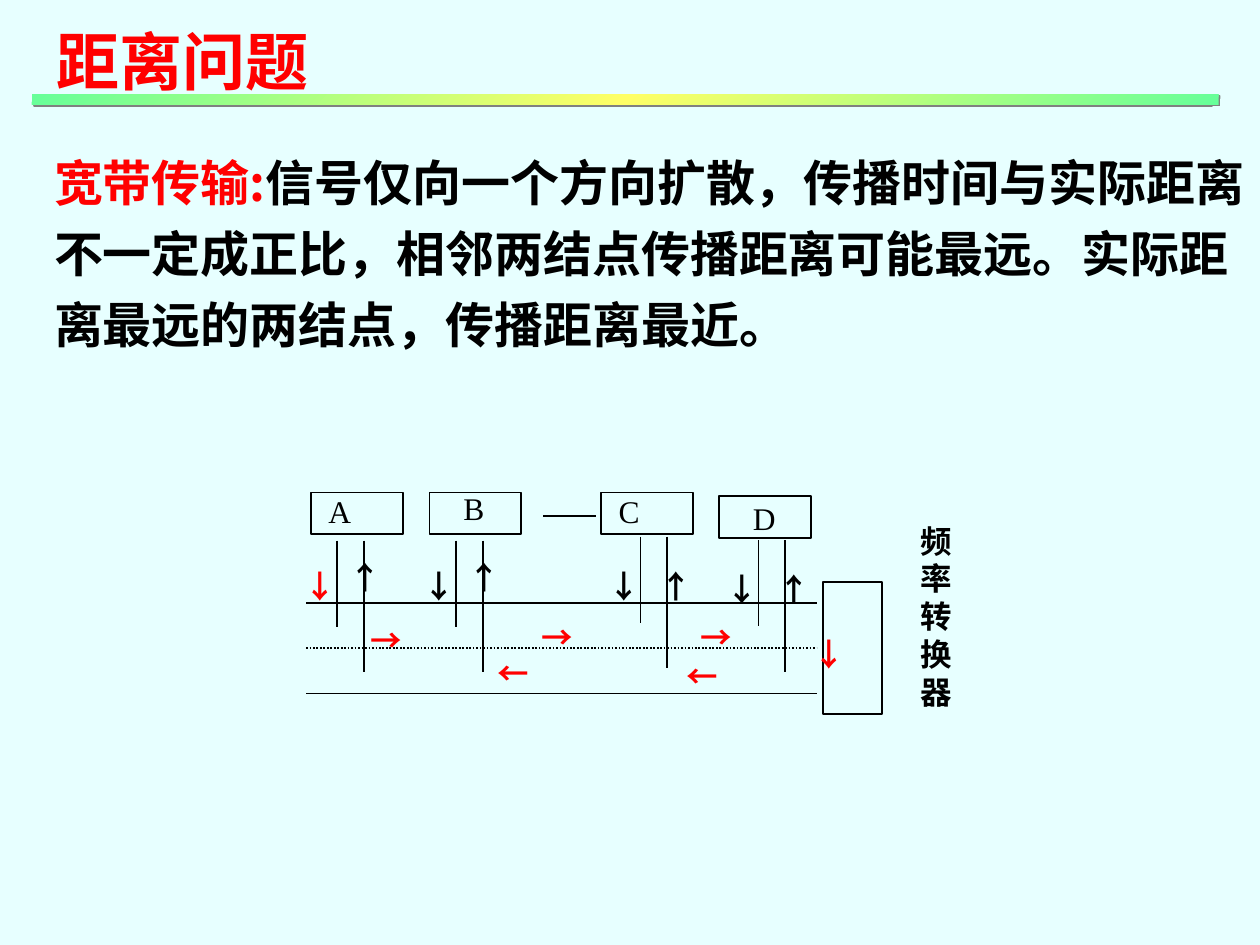
from lxml.etree import SubElement
from pptx import Presentation
from pptx.dml.color import RGBColor
from pptx.enum.dml import MSO_LINE
from pptx.enum.shapes import MSO_CONNECTOR, MSO_SHAPE
from pptx.enum.text import MSO_ANCHOR
from pptx.oxml import parse_xml
from pptx.oxml.ns import nsdecls, qn
from pptx.util import Cm, Pt

COLOURS = {
    "background": "E7FFFF",
    "red": "FF0000",
    "black": "000000",
    "green": "66FF99",
    "yellow": "FFFF66",
    "grey": "808080",
}
FONTS = {"chinese": "Noto Sans CJK SC", "station": "Times New Roman"}


def colour(name):
    return RGBColor.from_string(COLOURS[name])


def apply(target, values):
    for name, value in values.items():
        setattr(target, name, value)


class SlideBuilder:
    def __init__(self, deck):
        self.slide = deck.slides.add_slide(deck.slide_layouts[6])
        self.frame_format = {"vertical_anchor": MSO_ANCHOR.TOP}
        fill = self.slide.background.fill
        fill.solid()
        fill.fore_color.rgb = colour("background")

    def text(self, place, paragraphs, size=18, font="chinese", bold=True, wrap=False, spacing=1.0):
        box = self.slide.shapes.add_textbox(*map(Cm, place))
        frame = box.text_frame
        apply(frame, self.frame_format | {"word_wrap": wrap})
        for index, spans in enumerate(paragraphs):
            para = frame.paragraphs[0] if index == 0 else frame.add_paragraph()
            para.line_spacing = spacing
            for words, shade in spans:
                span = para.add_run()
                span.text = words
                apply(span.font, {"name": FONTS[font], "size": Pt(size), "bold": bold})
                span.font.color.rgb = colour(shade)
                east_asian = SubElement(span.font._element, qn("a:ea"))
                east_asian.set("typeface", FONTS[font])

    def arrow(self, symbol, left, top, shade="red"):
        self.text((left, top, 1.14, 1.02), [[(symbol, shade)]])

    def rectangle(self, *place):
        box = self.slide.shapes.add_shape(MSO_SHAPE.RECTANGLE, *map(Cm, place))
        box.shadow.inherit = False
        box.fill.background()
        box.line.color.rgb = colour("black")
        box.line.width = Pt(1)
        return box

    def line(self, *ends, width=1, dash=None):
        connector = self.slide.shapes.add_connector(MSO_CONNECTOR.STRAIGHT, *map(Cm, ends))
        connector.line.color.rgb = colour("black")
        apply(connector.line, {"width": Pt(width), "dash_style": dash})
        SubElement(connector._element.spPr, qn("a:effectLst"))

    def gradient_bar(self, *place):
        bar = self.rectangle(*place)
        bar.line.fill.background()
        stops = "".join(
            f'<a:gs pos="{position}"><a:srgbClr val="{COLOURS[name]}"/></a:gs>'
            for position, name in ((0, "green"), (50000, "yellow"), (100000, "green"))
        )
        properties = bar._element.spPr
        properties.replace(
            properties.find(qn("a:noFill")),
            parse_xml(
                f'<a:gradFill {nsdecls("a")} rotWithShape="1"><a:gsLst>{stops}</a:gsLst>'
                '<a:lin ang="2700000" scaled="1"/></a:gradFill>'
            ),
        )
        effects = properties.find(qn("a:effectLst"))
        effects.append(
            parse_xml(
                f'<a:outerShdw {nsdecls("a")} dist="17780" dir="2700000" algn="ctr" rotWithShape="0">'
                f'<a:srgbClr val="{COLOURS["grey"]}"/></a:outerShdw>'
            )
        )

    def station(self, name, left, top, label, taps, tap_drop, down, up, down_shade):
        self.rectangle(left, top, 1.85, 0.84)
        for offset, length in zip(taps, (1.73, 2.65)):
            start = top + tap_drop
            self.line(left + offset, start, left + offset, start + length)
        self.arrow("↓", left + down[0], top + down[1], down_shade)
        self.arrow("↑", left + up[0], top + up[1], "black")
        place = (left + label[0], top + label[1], 0.95, 1.02)
        self.text(place, [[(name, "black")]], font="station", bold=False)


def main():
    deck = Presentation()
    apply(deck, {"slide_width": Cm(25.4), "slide_height": Cm(19.05)})
    page = SlideBuilder(deck)

    page.text((0.89, 0.33, 22.86, 2.41), [[("距离问题", "red")]], size=36, wrap=True)
    page.gradient_bar(0.64, 1.9, 23.93, 0.21)
    explanation = (
        "信号仅向一个方向扩散，传播时间与实际距离不一定成正比，"
        "相邻两结点传播距离可能最远。实际距离最远的两结点，传播距离最近。"
    )
    page.text(
        (0.84, 2.72, 24.56, 4.52),
        [[("宽带传输:", "red"), (explanation, "black")]],
        size=28, wrap=True, spacing=1.2,
    )

    for height, dash in ((12.16, None), (13.07, MSO_LINE.ROUND_DOT), (13.98, None)):
        page.line(6.17, height, 16.46, height, dash=dash)
    page.line(10.95, 10.4, 12.01, 10.4, width=0.75)

    left_pair = {"taps": (0.53, 1.07), "tap_drop": 0.97, "down": (-0.38, 1.37), "up": (0.53, 1.2)}
    right_pair = {"taps": (0.79, 1.32), "tap_drop": 0.89, "down": (-0.1, 1.37), "up": (0.94, 1.37)}
    stations = (
        ("A", 6.27, 9.93, (0.1, -0.13), left_pair, "red"),
        ("B", 8.66, 9.93, (0.43, -0.2), left_pair, "black"),
        ("C", 12.12, 9.93, (0.1, -0.13), right_pair, "black"),
        ("D", 14.5, 10, (0.43, -0.07), right_pair, "black"),
    )
    for name, left, top, label, wiring, shade in stations:
        page.station(name, left, top, label, down_shade=shade, **wiring)

    page.rectangle(16.59, 11.73, 1.19, 2.67)
    page.text((18.31, 10.39, 1.14, 4.06), [[(word, "black")] for word in "频率转换器"])
    signals = (
        ("→", 7.21, 12.4), ("→", 10.67, 12.34), ("→", 13.87, 12.34),
        ("←", 9.78, 13.06), ("←", 13.59, 13.13), ("↓", 16.15, 12.67),
    )
    for symbol, left, top in signals:
        page.arrow(symbol, left, top)

    deck.save("out.pptx")


if __name__ == "__main__":
    main()
